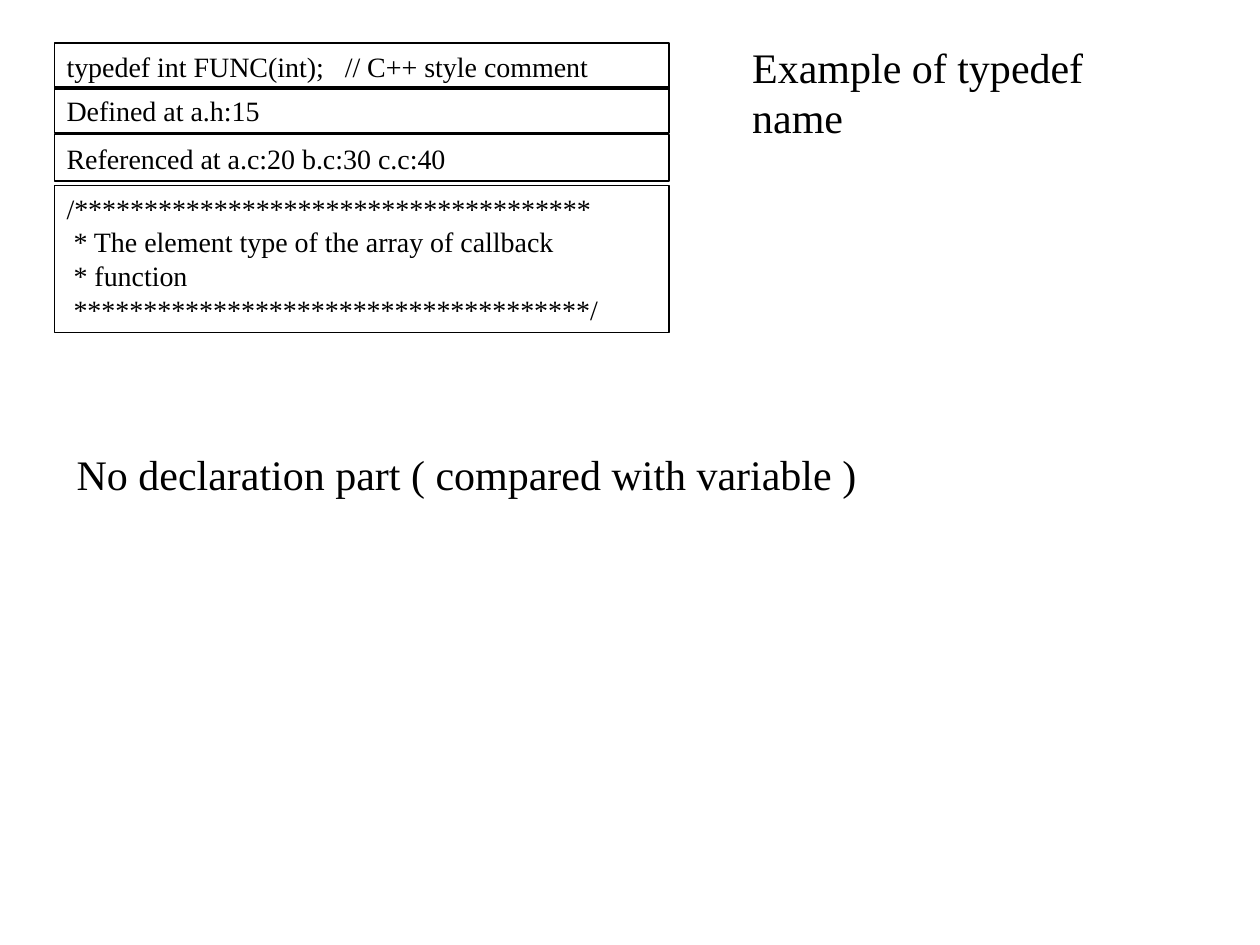
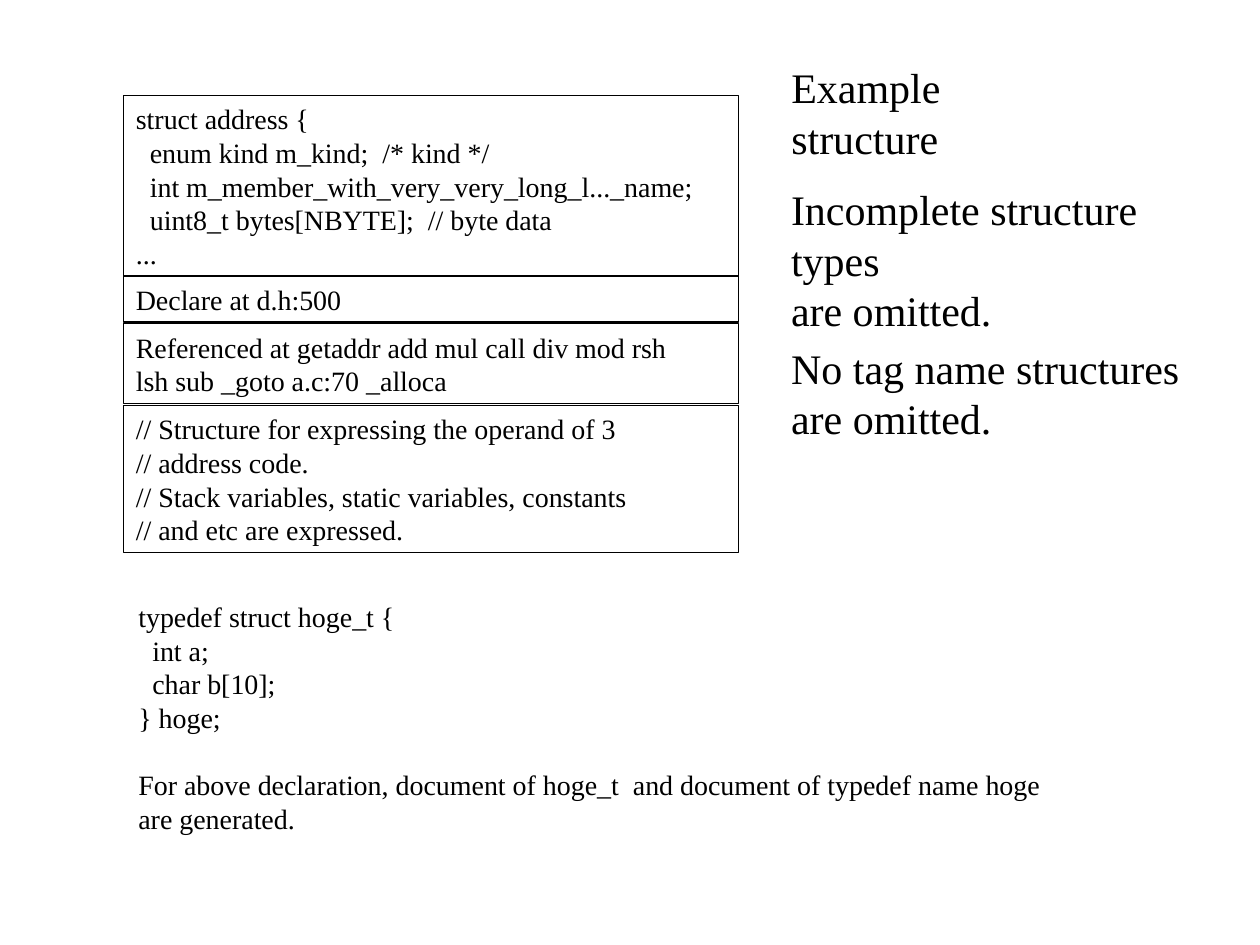
from pptx import Presentation
from pptx.dml.color import RGBColor as Rgb
from pptx.enum.shapes import MSO_SHAPE as Shape
from pptx.enum.text import MSO_ANCHOR as Anchor, MSO_AUTO_SIZE as Fit, PP_ALIGN as Align
from pptx.util import Inches, Pt

INK = {"text": "000000", "line": "000000"}
FONT = "Times New Roman"
CODE, NOTE = 16, 24
LEAD = 1.2  # line height as a multiple of the type size
PAD_X, PAD_Y = 0.1, 0.05
WIDE = 4.88
STARS = "*" * 37


def tall(count, size):
    """Height in inches of a box that holds count lines."""
    return 2 * PAD_Y + count * size * LEAD / 72


def place(shape, left, top, width, height):
    shape.left, shape.top = Inches(left), Inches(top)
    shape.width, shape.height = Inches(width), Inches(height)


def write(shape, lines, size, wrap=False):
    frame = shape.text_frame
    frame.text = "\n".join(lines)
    frame.margin_left = frame.margin_right = Inches(PAD_X)
    frame.margin_top = frame.margin_bottom = Inches(PAD_Y)
    frame.vertical_anchor = Anchor.TOP
    frame.word_wrap = wrap
    frame.auto_size = Fit.SHAPE_TO_FIT_TEXT
    for para in frame.paragraphs:
        para.alignment = Align.LEFT
        for run in para.runs:
            run.font.name = FONT
            run.font.size = Pt(size)
            run.font.color.rgb = Rgb.from_string(INK["text"])
    return frame


def add_title(slide, text, left, top, width):
    title = slide.shapes.title
    place(title, left, top, width, tall(1, NOTE))
    write(title, [text], NOTE)


def add_note(slide, lines, left, top, width, size=NOTE):
    box = slide.shapes.add_textbox(0, 0, 0, 0)
    place(box, left, top, width, tall(len(lines), size))
    return write(box, lines, size)


def add_card(slide, left, top, rows):
    """Stack framed rows; each is its offset below top and its lines."""
    for drop, lines in rows:
        box = slide.shapes.add_shape(Shape.RECTANGLE, 0, 0, 0, 0)
        place(box, left, top + drop, WIDE, tall(len(lines), CODE))
        box.shadow.inherit = False
        box.fill.background()
        box.line.color.rgb = Rgb.from_string(INK["line"])
        box.line.width = Pt(0.75)
        write(box, lines, CODE, wrap=True)


def typedef_slide(slide):
    add_title(slide, "Example of typedef name", 5.87, 0.28, 3.63)
    add_card(slide, 0.43, 0.34, [
        (0, ["typedef int FUNC(int);   // C++ style comment"]),
        (0.35, ["Defined at a.h:15"]),
        (0.73, ["Referenced at a.c:20 b.c:30 c.c:40"]),
        (1.13, ["/" + STARS,
                " * The element type of the array of callback",
                " * function",
                " " + STARS + "/"]),
    ])
    add_note(slide, ["No declaration part ( compared with variable )"],
             0.51, 3.51, 6.39)


def struct_slide(slide):
    add_title(slide, "Example structure", 6.18, 0.44, 2.63)
    add_card(slide, 0.98, 0.76, [
        (0, ["struct address {",
             "  enum kind m_kind;  /* kind */",
             "  int m_member_with_very_very_long_l..._name;",
             "  uint8_t bytes[NBYTE];  // byte data",
             "..."]),
        (1.43, ["Declare at d.h:500"]),
        (1.81, ["Referenced at getaddr add mul call div mod rsh",
                "lsh sub _goto a.c:70 _alloca"]),
        (2.46, ["// Structure for expressing the operand of 3",
                "// address code.",
                "// Stack variables, static variables, constants",
                "// and etc are expressed."]),
    ])
    for top, width, head in [(1.41, 3.73, "Incomplete structure types"),
                             (2.67, 3.28, "No tag name structures")]:
        add_note(slide, [head, "are omitted."], 6.18, top, width)
    code = ["typedef struct hoge_t {", "  int a;", "  char b[10];", "} hoge;"]
    text = ["For above declaration, document of hoge_t  and document of typedef name hoge",
            "are generated."]
    frame = add_note(slide, code + text, 1, 4.71, 7.36, CODE)
    frame.paragraphs[len(code)].space_before = Pt(CODE * LEAD)


def main():
    deck = Presentation()
    deck.slide_width, deck.slide_height = Inches(10), Inches(7.5)
    for build in (typedef_slide, struct_slide):
        build(deck.slides.add_slide(deck.slide_layouts[5]))
    deck.save("out.pptx")


if __name__ == "__main__":
    main()
